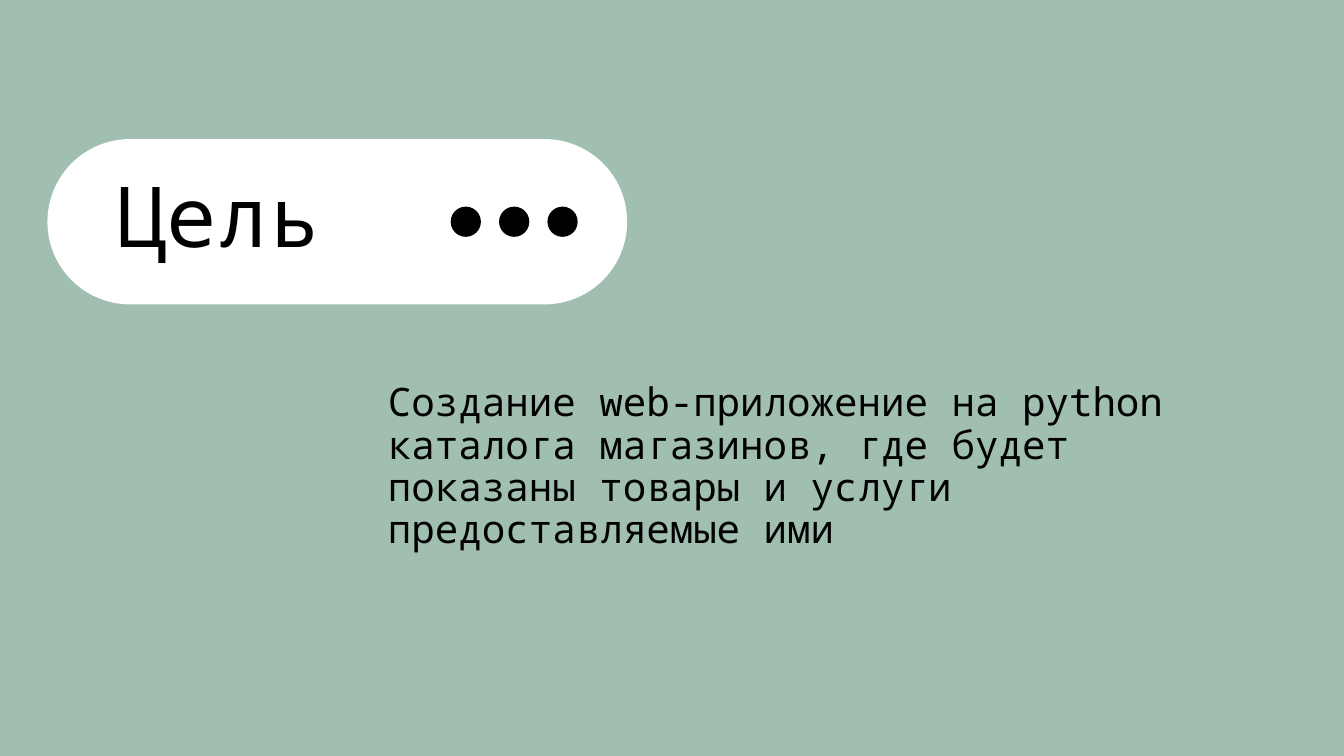
from pptx import Presentation
from pptx.dml.color import RGBColor
from pptx.enum.shapes import MSO_SHAPE as Shape
from pptx.enum.text import MSO_ANCHOR as Anchor, MSO_AUTO_SIZE as AutoSize, PP_ALIGN as Align
from pptx.util import Inches, Pt

SAGE = RGBColor(0xA1, 0xBF, 0xB1)
WHITE = RGBColor(0xFF, 0xFF, 0xFF)
BLACK = RGBColor(0x00, 0x00, 0x00)
FONT = "Noto Sans Mono"

TITLE_ONLY = 5
DOT_COUNT = 3
DOT_SIZE = 0.3
DOT_STEP = 0.48
DOTS_LEFT, DOTS_TOP = 4.47, 2.05

GOAL = (
    "Создание web-приложение на python каталога магазинов, "
    "где будет показаны товары и услуги предоставляемые ими"
)


def place(shape, left, top, width, height):
    shape.left, shape.top = Inches(left), Inches(top)
    shape.width, shape.height = Inches(width), Inches(height)


def add_plain_shape(slide, kind, color, left, top, width, height):
    """Add a filled shape without outline or shadow."""
    shape = slide.shapes.add_shape(
        kind, Inches(left), Inches(top), Inches(width), Inches(height)
    )
    shape.shadow.inherit = False
    shape.fill.solid()
    shape.fill.fore_color.rgb = color
    shape.line.fill.background()
    return shape


def write_text(shape, text, size, anchor, space_before=0):
    frame = shape.text_frame
    frame.word_wrap = True
    frame.auto_size = AutoSize.NONE
    frame.vertical_anchor = anchor
    paragraph = frame.paragraphs[0]
    paragraph.alignment = Align.LEFT
    paragraph.line_spacing = 0.9
    paragraph.space_before = Pt(space_before)
    run = paragraph.add_run()
    run.text = text
    run.font.name = FONT
    run.font.size = Pt(size)
    run.font.color.rgb = BLACK


def add_title_pill(slide):
    """Put the slide title on a white pill."""
    pill = add_plain_shape(slide, Shape.ROUNDED_RECTANGLE, WHITE, 0.47, 1.38, 5.75, 1.64)
    pill.adjustments[0] = 0.5
    title = slide.shapes.title
    pill.element.addnext(title.element)
    place(title, 1.05, 1.53, 2.7, 1.32)
    write_text(title, "Цель", 60, Anchor.MIDDLE)


def add_goal(slide):
    goal = slide.shapes.add_textbox(Inches(3.75), Inches(3.75), Inches(8.57), Inches(1.83))
    write_text(goal, GOAL, 28, Anchor.TOP, space_before=10)


def add_dots(slide):
    for index in reversed(range(DOT_COUNT)):
        left = DOTS_LEFT + index * DOT_STEP
        add_plain_shape(slide, Shape.OVAL, BLACK, left, DOTS_TOP, DOT_SIZE, DOT_SIZE)


def main():
    presentation = Presentation()
    presentation.slide_width = Inches(13.33)
    presentation.slide_height = Inches(7.5)
    slide = presentation.slides.add_slide(presentation.slide_layouts[TITLE_ONLY])
    slide.background.fill.solid()
    slide.background.fill.fore_color.rgb = SAGE
    add_title_pill(slide)
    add_goal(slide)
    add_dots(slide)
    presentation.save("out.pptx")


if __name__ == "__main__":
    main()
